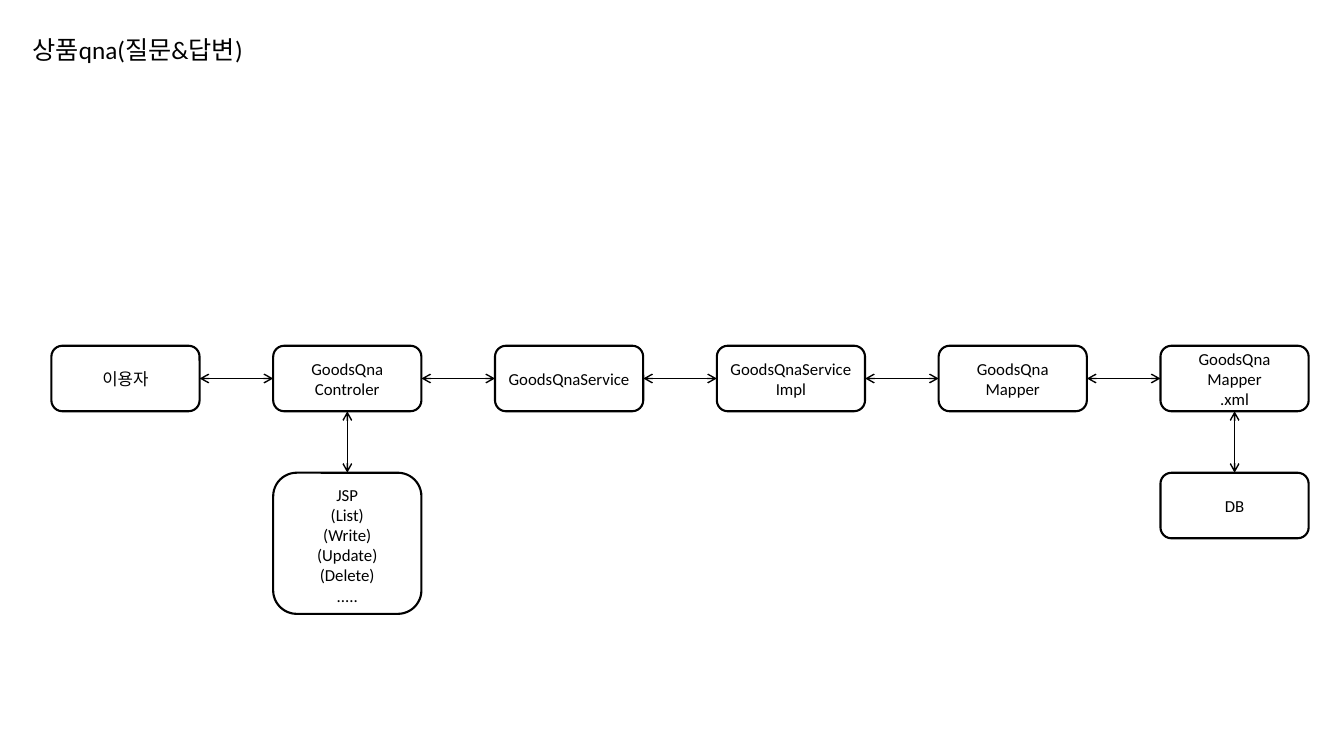
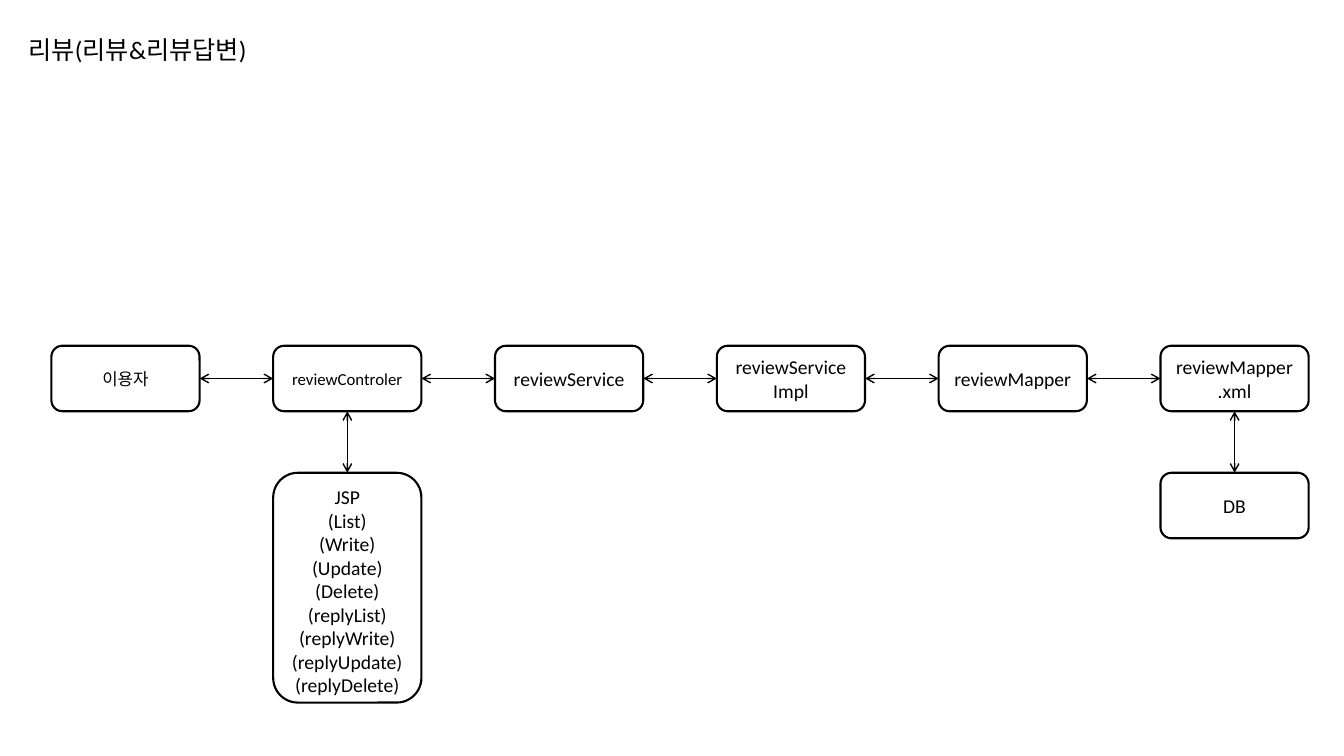
from lxml.etree import SubElement
from pptx import Presentation
from pptx.dml.color import RGBColor
from pptx.enum.shapes import MSO_CONNECTOR, MSO_SHAPE
from pptx.enum.text import MSO_ANCHOR, MSO_AUTO_SIZE, PP_ALIGN
from pptx.oxml.ns import qn
from pptx.util import Inches, Pt

COLORS = {"ink": "000000", "paper": "FFFFFF"}
FONT = "Calibri"
TITLE_ONLY = 5
TOP, LEFT, BOTTOM, RIGHT = range(4)  # connection sites of a rounded rectangle

FIRST_LEFT, PITCH = 0.51, 2.2
BOX_WIDTH, BOX_HEIGHT = 1.47, 0.65
FLOW_TOP, LOWER_TOP = 3.43, 4.69

# Each box: its lines of text and the text size
PAGES = [
    {
        "title": "상품qna(질문&답변)",
        "flow": [
            (["이용자"], 12),
            (["GoodsQna", "Controler"], 12),
            (["GoodsQnaService"], 12),
            (["GoodsQnaService", "Impl"], 12),
            (["GoodsQna", "Mapper"], 12),
            (["GoodsQna", "Mapper", ".xml"], 12),
        ],
        "views": ["JSP", "(List)", "(Write)", "(Update)", "(Delete)", "....."],
        "views_height": 1.4,
        "lower_size": 12,
    },
    {
        "title": "리뷰(리뷰&리뷰답변)",
        "flow": [
            (["이용자"], 12),
            (["reviewControler"], 12),
            (["reviewService"], 14),
            (["reviewService", "Impl"], 14),
            (["reviewMapper"], 14),
            (["reviewMapper", ".xml"], 14),
        ],
        "views": ["JSP", "(List)", "(Write)", "(Update)", "(Delete)",
                  "(replyList)", "(replyWrite)", "(replyUpdate)", "(replyDelete)"],
        "views_height": 2.28,
        "lower_size": 14,
    },
]


def color(name):
    return RGBColor.from_string(COLORS[name])


class FlowDeck:
    def __init__(self):
        self.deck = Presentation()
        self.deck.slide_width = Inches(13.33)
        self.deck.slide_height = Inches(7.5)
        self.page = None

    def add_page(self, title):
        self.page = self.deck.slides.add_slide(self.deck.slide_layouts[TITLE_ONLY])
        box = self.page.shapes.title
        box.left, box.top = Inches(0), Inches(0)
        box.width, box.height = Inches(2.73), Inches(0.98)
        box.fill.solid()
        box.fill.fore_color.rgb = color("paper")
        self.add_text(box, [title], 18)

    def add_text(self, box, lines, size, anchor=MSO_ANCHOR.MIDDLE):
        frame = box.text_frame
        frame.word_wrap = True
        frame.auto_size = MSO_AUTO_SIZE.NONE
        frame.vertical_anchor = anchor
        frame.margin_left = frame.margin_right = Inches(0.05)
        for index, line in enumerate(lines):
            para = frame.add_paragraph() if index else frame.paragraphs[0]
            para.alignment = PP_ALIGN.CENTER
            span = para.add_run()
            span.text = line
            span.font.name = FONT
            span.font.size = Pt(size)
            span.font.color.rgb = color("ink")

    def add_box(self, column, top, lines, size, height=BOX_HEIGHT, anchor=MSO_ANCHOR.MIDDLE):
        box = self.page.shapes.add_shape(
            MSO_SHAPE.ROUNDED_RECTANGLE, Inches(FIRST_LEFT + column * PITCH),
            Inches(top), Inches(BOX_WIDTH), Inches(height))
        box.shadow.inherit = False
        box.fill.background()
        box.line.color.rgb = color("ink")
        box.line.width = Pt(1.5)
        self.add_text(box, lines, size, anchor)
        return box

    def add_arrow(self, start, start_site, end, end_site):
        """Join two boxes with a line that has an arrowhead at both ends."""
        arrow = self.page.shapes.add_connector(MSO_CONNECTOR.STRAIGHT, 0, 0, 0, 0)
        arrow.begin_connect(start, start_site)
        arrow.end_connect(end, end_site)
        arrow.line.color.rgb = color("ink")
        arrow.line.width = Pt(1)
        properties = arrow._element.spPr
        outline = properties.find(qn("a:ln"))
        for tag in ("a:headEnd", "a:tailEnd"):
            SubElement(outline, qn(tag), type="arrow")
        SubElement(properties, qn("a:effectLst"))


def main():
    flow_deck = FlowDeck()
    for content in PAGES:
        flow_deck.add_page(content["title"])
        flow = [flow_deck.add_box(column, FLOW_TOP, lines, size)
                for column, (lines, size) in enumerate(content["flow"])]
        size = content["lower_size"]
        views = flow_deck.add_box(1, LOWER_TOP, content["views"], size,
                                  content["views_height"], MSO_ANCHOR.TOP)
        database = flow_deck.add_box(5, LOWER_TOP, ["DB"], size)
        for start, end in zip(flow, flow[1:]):
            flow_deck.add_arrow(start, RIGHT, end, LEFT)
        for upper, lower in ((flow[1], views), (flow[5], database)):
            flow_deck.add_arrow(upper, BOTTOM, lower, TOP)
    flow_deck.deck.save("out.pptx")


if __name__ == "__main__":
    main()
